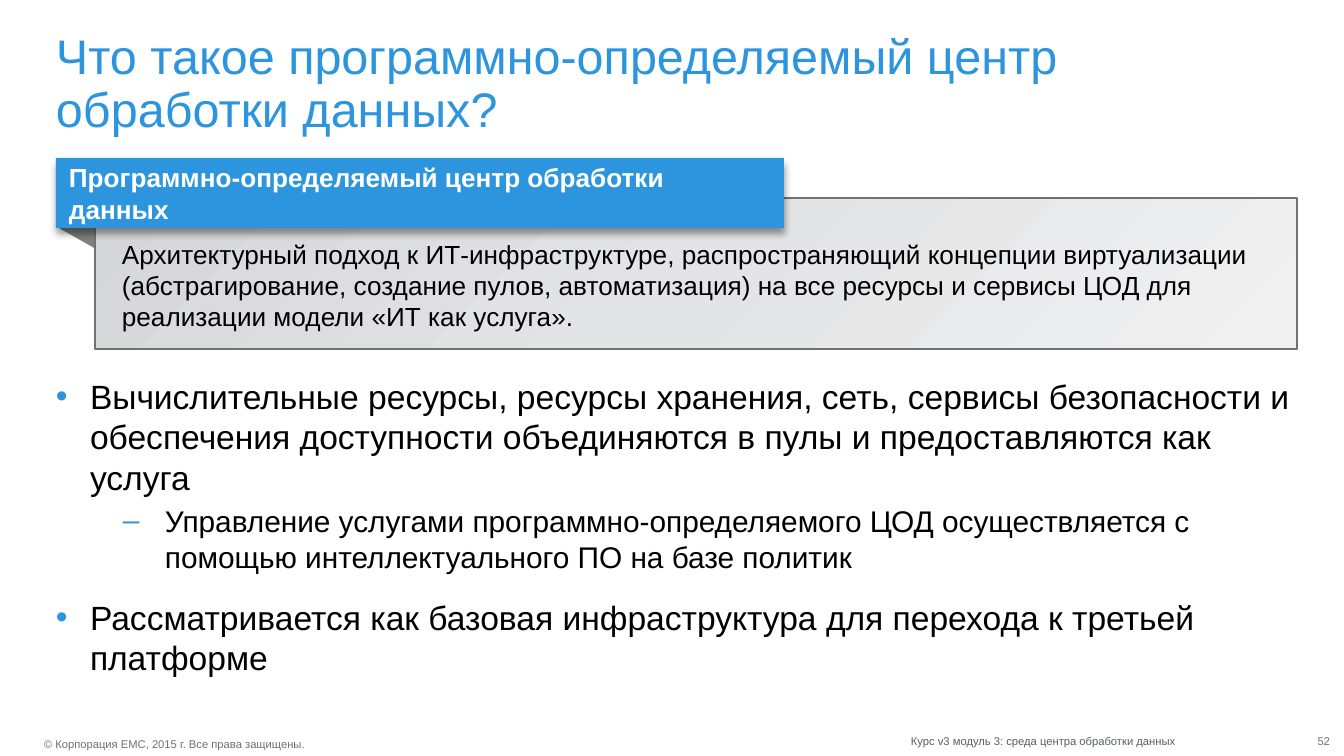
"""Build the slide that defines the software-defined data center."""
from lxml.etree import SubElement
from pptx import Presentation
from pptx.dml.color import RGBColor
from pptx.enum.shapes import MSO_SHAPE
from pptx.enum.text import MSO_ANCHOR, MSO_AUTO_SIZE, PP_ALIGN
from pptx.oxml import parse_xml
from pptx.oxml.ns import nsdecls, qn
from pptx.util import Pt

PX = 914400 / 134.4
COLORS = {"blue": "2C95DD", "black": "000000", "white": "FFFFFF",
          "fold": "808080", "border": "717074", "copyright": "717073",
          "module": "5B5E61"}
GRADIENT = [(0, "D4D6D8"), (50, "E3E4E5"), (100, "F1F1F2")]

TITLE = "Что такое программно-определяемый центр обработки данных?"
TERM = "Программно-определяемый центр обработки данных"
DEFINITION = ("Архитектурный подход к ИТ-инфраструктуре, распространяющий "
              "концепции виртуализации (абстрагирование, создание пулов, "
              "автоматизация) на все ресурсы и сервисы ЦОД для реализации "
              "модели «ИТ как услуга».")
BULLETS = [
    (0, "Вычислительные ресурсы, ресурсы хранения, сеть, сервисы безопасности "
        "и обеспечения доступности объединяются в пулы и предоставляются как "
        "услуга"),
    (1, "Управление услугами программно-определяемого ЦОД осуществляется с "
        "помощью интеллектуального ПО на базе политик"),
    (0, "Рассматривается как базовая инфраструктура для перехода к третьей "
        "платформе"),
]
LEVELS = [
    {"mark": "•", "size": 18, "left": 34, "hang": 34, "before": 12},
    {"mark": "–", "size": 16, "left": 109, "hang": 42, "before": 3},
]
FOOTERS = [
    ("© Корпорация EMC, 2015\u00a0г. Все права защищены.", "copyright",
     (44, 737, 265, 13), PP_ALIGN.LEFT, False),
    ("Курс v3 модуль 3: среда центра обработки данных", "module",
     (911, 734, 265, 13), PP_ALIGN.LEFT, False),
    ("52", "border", (1288, 734, 42, 13), PP_ALIGN.RIGHT, True),
]


def px(n):
    return round(n * PX)


def rgb(name):
    return RGBColor.from_string(COLORS[name])


def set_frame(tf, margins=(0, 0, 0, 0), anchor=MSO_ANCHOR.TOP, wrap=True):
    left, top, right, bottom = map(px, margins)
    formats = {"margin_left": left, "margin_top": top, "margin_right": right,
               "margin_bottom": bottom, "vertical_anchor": anchor,
               "word_wrap": wrap, "auto_size": MSO_AUTO_SIZE.NONE}
    for name, value in formats.items():
        setattr(tf, name, value)
    return tf


def write(p, text, size, color, bold=False, align=PP_ALIGN.LEFT):
    p.alignment = align
    r = p.add_run()
    r.text = text
    for name, value in {"name": "Arial", "size": Pt(size), "bold": bold}.items():
        setattr(r.font, name, value)
    r.font.color.rgb = rgb(color)


def add_bullet(p, level):
    pPr = p._p.get_or_add_pPr()
    pPr.set("marL", str(px(level["left"])))
    pPr.set("indent", str(-px(level["hang"])))
    color = SubElement(pPr, qn("a:buClr"))
    SubElement(color, qn("a:srgbClr"), val=COLORS["blue"])
    SubElement(pPr, qn("a:buFont"), typeface="Arial")
    SubElement(pPr, qn("a:buChar"), char=level["mark"])


def add_rect(s, box):
    sp = s.shapes.add_shape(MSO_SHAPE.RECTANGLE, *map(px, box))
    sp.shadow.inherit = False
    return sp


def add_definition(s):
    builder = s.shapes.build_freeform(57, 227, scale=PX)
    builder.add_line_segments([(96, 227), (96, 249)])
    fold = builder.convert_to_shape()
    fold.shadow.inherit = False
    fold.fill.solid()
    fold.fill.fore_color.rgb = rgb("fold")
    fold.line.fill.background()

    panel = add_rect(s, (95, 198, 1202, 151))
    stops = "".join(f'<a:gs pos="{pos * 1000}"><a:srgbClr val="{color}"/></a:gs>'
                    for pos, color in GRADIENT)
    panel._element.spPr.find(qn("a:prstGeom")).addnext(parse_xml(
        f'<a:gradFill {nsdecls("a")} rotWithShape="1"><a:gsLst>{stops}</a:gsLst>'
        '<a:lin ang="2700000" scaled="0"/></a:gradFill>'))
    panel.line.color.rgb = rgb("border")
    panel.line.width = Pt(1)
    tf = set_frame(panel.text_frame, (27, 40, 27, 7))
    write(tf.paragraphs[0], DEFINITION, 14, "black")

    banner = add_rect(s, (56, 158, 728, 70))
    banner.fill.solid()
    banner.fill.fore_color.rgb = rgb("blue")
    banner.line.fill.background()
    effects = banner._element.spPr.find(qn("a:effectLst"))
    shadow = SubElement(effects, qn("a:outerShdw"), blurRad=str(Pt(4)),
                        dist=str(Pt(3)), dir="5400000", rotWithShape="0")
    color = SubElement(shadow, qn("a:srgbClr"), val=COLORS["black"])
    SubElement(color, qn("a:alpha"), val="40000")
    tf = set_frame(banner.text_frame, (13, 7, 13, 7), MSO_ANCHOR.MIDDLE)
    write(tf.paragraphs[0], TERM, 14, "white", bold=True)


def add_bullets(s):
    tf = set_frame(s.shapes.add_textbox(*map(px, (56, 376, 1243, 282))).text_frame)
    for i, (depth, text) in enumerate(BULLETS):
        p = tf.add_paragraph() if i else tf.paragraphs[0]
        level = LEVELS[depth]
        add_bullet(p, level)
        p.level = depth
        p.space_before = Pt(level["before"] if i else 0)
        write(p, text, level["size"], "black")


def main():
    prs = Presentation()
    prs.slide_width, prs.slide_height = px(1344), px(756)
    s = prs.slides.add_slide(prs.slide_layouts[5])
    title = s.shapes.title
    title.left, title.top, title.width, title.height = map(px, (56, 33, 1243, 67))
    p = set_frame(title.text_frame).paragraphs[0]
    p.line_spacing = 0.9
    write(p, TITLE, 26, "blue")
    add_definition(s)
    add_bullets(s)
    for text, color, box, align, wrap in FOOTERS:
        tf = set_frame(s.shapes.add_textbox(*map(px, box)).text_frame, wrap=wrap)
        write(tf.paragraphs[0], text, 6, color, align=align)
    prs.save("out.pptx")


if __name__ == "__main__":
    main()
